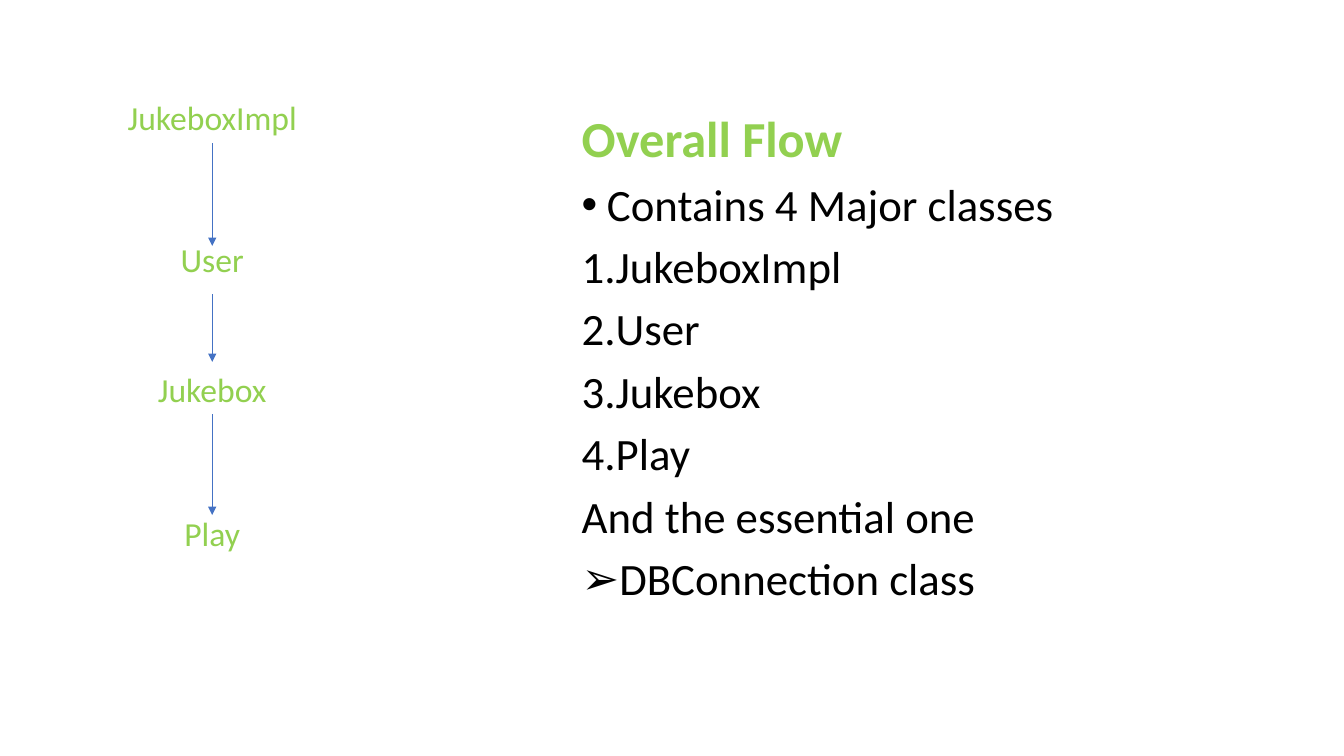
"""Builds the slide that shows the overall flow between the jukebox classes."""
from lxml.etree import SubElement
from pptx import Presentation
from pptx.dml.color import RGBColor
from pptx.enum.shapes import MSO_CONNECTOR as Line
from pptx.enum.text import MSO_ANCHOR as Anchor, MSO_AUTO_SIZE as AutoSize, PP_ALIGN as Align
from pptx.oxml.ns import qn
from pptx.util import Inches, Pt

COLOURS = {"green": "92D050", "black": "000000", "blue": "4472C4"}
BOTTOM = 2
NO_BULLET = ("a:buNone", {})
DOT = ("a:buChar", {"char": "•"})
NUMBER = ("a:buAutoNum", {"type": "arabicPeriod"})
ARROW = ("a:buChar", {"char": "➢"})

STEP_LEFT, STEP_WIDTH, STEP_HEIGHT = 7.65, 16.28, 11.47
STEPS = [("JukeboxImpl", 7.47), ("User", 26.13), ("Jukebox", 43.33), ("Play", 62.4)]
ARROW_ENDS = [32.53, 47.87, 68.13]
USER_ARROW_START = 38.93
BODY_AREA = (42.53, 14.4, 50.64, 71.07)
BODY_LINES = [
    ("Contains 4 Major classes", DOT),
    *((name, NUMBER) for name, row in STEPS),
    ("And the essential one", NO_BULLET),
    ("DBConnection class", ARROW),
]


class FlowSlide:
    """Holds the style and the slide, on a grid of 100 columns by 100 rows."""

    step_frame = {"word_wrap": True, "auto_size": AutoSize.NONE, "vertical_anchor": Anchor.BOTTOM}
    body_frame = {**step_frame, "vertical_anchor": Anchor.TOP}
    step_font = {"name": "Calibri", "size": Pt(24), "bold": False}
    heading_font = {"name": "Calibri", "size": Pt(36), "bold": True}
    body_font = {"name": "Calibri", "size": Pt(32), "bold": False}
    body_para = {"line_spacing": 0.9, "space_before": Pt(10), "alignment": Align.LEFT}

    def __init__(self, deck):
        self.column = deck.slide_width / 100
        self.row = deck.slide_height / 100
        self.page = deck.slides.add_slide(deck.slide_layouts[1])

    def apply(self, target, values):
        for name, value in values.items():
            setattr(target, name, value)

    def area(self, left, top, width, height):
        return [round(left * self.column), round(top * self.row),
                round(width * self.column), round(height * self.row)]

    def place(self, box, area, frame):
        self.apply(box, dict(zip(("left", "top", "width", "height"), self.area(*area))))
        self.apply(box.text_frame, frame)

    def add_text(self, para, text, font, colour, values):
        span = para.add_run()
        span.text = text
        self.apply(span.font, font)
        span.font.color.rgb = RGBColor.from_string(COLOURS[colour])
        self.apply(para, values)

    def step(self, text, top, is_title):
        shapes = self.page.shapes
        box = shapes.title if is_title else shapes.add_textbox(0, 0, 0, 0)
        self.place(box, (STEP_LEFT, top, STEP_WIDTH, STEP_HEIGHT), self.step_frame)
        spacing = 0.9 if is_title else 1.0
        self.add_text(box.text_frame.paragraphs[0], text, self.step_font, "green",
                      {"alignment": Align.CENTER, "line_spacing": spacing})
        return box

    def bullet(self, para, mark):
        tag, attributes = mark
        indent = 0 if mark == NO_BULLET else Inches(0.25)
        properties = para._p.get_or_add_pPr()
        properties.set("marL", str(indent))
        properties.set("indent", str(-indent))
        SubElement(properties, qn(tag), attributes)

    def body(self, heading, lines):
        box = self.page.placeholders[1]
        self.place(box, BODY_AREA, self.body_frame)
        para = box.text_frame.paragraphs[0]
        self.add_text(para, heading, self.heading_font, "green", self.body_para)
        self.bullet(para, NO_BULLET)
        for text, mark in lines:
            para = box.text_frame.add_paragraph()
            self.add_text(para, text, self.body_font, "black", self.body_para)
            self.bullet(para, mark)

    def arrow(self, end, source=None, start=0):
        middle = STEP_LEFT + STEP_WIDTH / 2
        x, top, _, height = self.area(middle, start, 0, end - start)
        line = self.page.shapes.add_connector(Line.STRAIGHT, x, top, x, top + height)
        if source is not None:
            line.begin_connect(source, BOTTOM)
            line.end_x = line.begin_x
        line.line.width = Pt(0.5)
        line.line.color.rgb = RGBColor.from_string(COLOURS["blue"])
        SubElement(line.line._get_or_add_ln(), qn("a:tailEnd"), {"type": "triangle"})
        SubElement(line._element.spPr, qn("a:effectLst"))


def main():
    deck = Presentation()
    deck.slide_width, deck.slide_height = Inches(13.33), Inches(7.5)
    flow = FlowSlide(deck)
    flow.body("Overall Flow", BODY_LINES)
    boxes = [flow.step(name, top, index == 0) for index, (name, top) in enumerate(STEPS)]
    first_end, second_end, third_end = ARROW_ENDS
    flow.arrow(first_end, source=boxes[0])
    flow.arrow(second_end, start=USER_ARROW_START)
    flow.arrow(third_end, source=boxes[2])
    deck.save("out.pptx")


if __name__ == "__main__":
    main()
